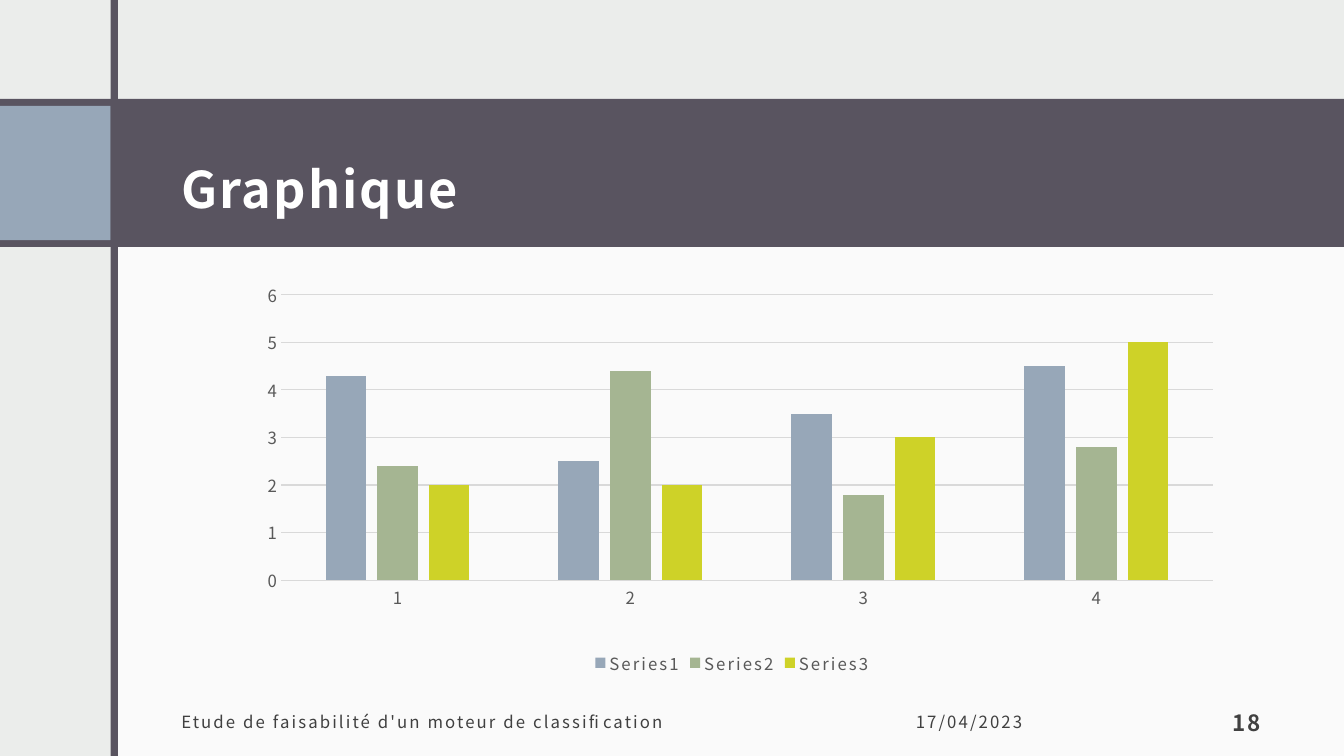
from lxml.etree import fromstring
from pptx import Presentation
from pptx.chart.data import CategoryChartData
from pptx.dml.color import RGBColor
from pptx.enum.chart import XL_CHART_TYPE, XL_LEGEND_POSITION, XL_TICK_MARK
from pptx.enum.shapes import MSO_SHAPE
from pptx.enum.text import MSO_ANCHOR, PP_ALIGN
from pptx.oxml.ns import nsdecls
from pptx.util import Cm, Pt

THEME = {
    "font": "Noto Sans CJK JP",
    "back": "EBEDEB", "panel": "FAFAFA", "band": "595460", "accent": "97A7B8",
    "title": "FFFFFF", "foot": "404040", "label": "595959", "grid": "D9D9D9",
    "series": ["97A7B8", "A5B592", "CED228"],
    "big": 36, "mid": 16, "small": 12, "track": "150",
}
WIDE, HIGH = 33.87, 19.05
BLOCKS = [
    ("panel", 2.9, 5.92, WIDE - 2.9, HIGH - 5.92),
    ("band", 0, 2.49, WIDE, 3.73),
    ("accent", 0, 2.67, 2.79, 3.38),
    ("band", 2.79, 0, 0.18, HIGH),
]
LEFT, MID, RIGHT = PP_ALIGN.LEFT, MSO_ANCHOR.MIDDLE, PP_ALIGN.RIGHT
TEXTS = [
    ("Graphique", (4.27, 2.9, 27.81, 2.87), "big", "title", True, LEFT, MID, 1.5),
    ("Etude de faisabilité d'un moteur de classification",
     (4.27, 17.53, 15.93, 1.27), "small", "foot", False, LEFT, MID, 1),
    ("17/04/2023", (22.78, 17.53, 5.97, 1.27), "small", "foot", False, LEFT, MID, 1),
    ("18", (29.36, 17.53, 2.72, 1.27), "mid", "foot", True, RIGHT, MSO_ANCHOR.BOTTOM, 1),
]
CATS = ["1", "2", "3", "4"]
VALUES = {
    "Series1": [4.3, 2.5, 3.5, 4.5],
    "Series2": [2.4, 4.4, 1.8, 2.8],
    "Series3": [2, 2, 3, 5],
}
CHART = (5.82, 7.11, 25.25, 10.01)
PLOT = {"x": 0.05, "y": 0.03, "w": 0.93, "h": 0.72}


def color(name):
    return RGBColor.from_string(THEME.get(name, name))


def paint(fill, name):
    fill.solid()
    fill.fore_color.rgb = color(name)


def style(font, size, name, bold=False):
    font.name = THEME["font"]
    font.size = Pt(THEME[size])
    font.bold = bold
    font.color.rgb = color(name)


def add_block(slide, name, *box):
    block = slide.shapes.add_shape(MSO_SHAPE.RECTANGLE, *map(Cm, box))
    block.shadow.inherit = False
    paint(block.fill, name)
    block.line.fill.background()


def add_text(slide, text, box, size, name, bold, align, anchor, space):
    frame = slide.shapes.add_textbox(*map(Cm, box)).text_frame
    frame.word_wrap = True
    frame.vertical_anchor = anchor
    frame.margin_left = frame.margin_right = frame.margin_top = Cm(0.3)
    frame.margin_bottom = Cm(0.25)
    frame.text = text
    line = frame.paragraphs[0]
    line.alignment = align
    line.line_spacing = space
    run = line.runs[0]
    style(run.font, size, name, bold)
    run._r.get_or_add_rPr().set("spc", THEME["track"])


def add_bars(slide):
    data = CategoryChartData()
    data.categories = CATS
    for name, values in VALUES.items():
        data.add_series(name, values)
    chart = slide.shapes.add_chart(
        XL_CHART_TYPE.COLUMN_CLUSTERED, *map(Cm, CHART), data).chart
    chart.has_title = False
    style(chart.font, "small", "label")
    plot = chart.plots[0]
    plot.gap_width, plot.overlap = 219, -27
    plot.vary_by_categories = False
    for bars, tone in zip(plot.series, THEME["series"]):
        paint(bars.format.fill, tone)
        bars.invert_if_negative = False

    for axis in (chart.category_axis, chart.value_axis):
        axis.major_tick_mark = axis.minor_tick_mark = XL_TICK_MARK.NONE
        style(axis.tick_labels.font, "small", "label")
    scale = chart.value_axis
    scale.minimum_scale, scale.maximum_scale, scale.major_unit = 0, 6, 1
    scale.format.line.fill.background()
    for line in (chart.category_axis.format.line, scale.major_gridlines.format.line):
        paint(line.fill, "grid")
        line.width = Pt(0.75)

    chart.has_legend = True
    legend = chart.legend
    legend.position = XL_LEGEND_POSITION.BOTTOM
    legend.include_in_layout = False
    style(legend.font, "small", "label")
    for props in legend._element.xpath(".//a:defRPr"):
        props.set("spc", THEME["track"])

    area = chart._chartSpace.chart.plotArea
    for old in area.xpath("./c:layout"):
        area.remove(old)
    modes = "".join(f'<c:{key}Mode val="edge"/>' for key in "xy")
    sizes = "".join(f'<c:{key} val="{part}"/>' for key, part in PLOT.items())
    area.insert(0, fromstring(
        f'<c:layout {nsdecls("c")}><c:manualLayout><c:layoutTarget val="inner"/>'
        f'{modes}{sizes}</c:manualLayout></c:layout>'))


def main():
    deck = Presentation()
    deck.slide_width, deck.slide_height = Cm(WIDE), Cm(HIGH)
    slide = deck.slides.add_slide(deck.slide_layouts[6])
    paint(slide.background.fill, "back")
    for block in BLOCKS:
        add_block(slide, *block)
    for text in TEXTS:
        add_text(slide, *text)
    add_bars(slide)
    deck.save("out.pptx")


if __name__ == "__main__":
    main()
